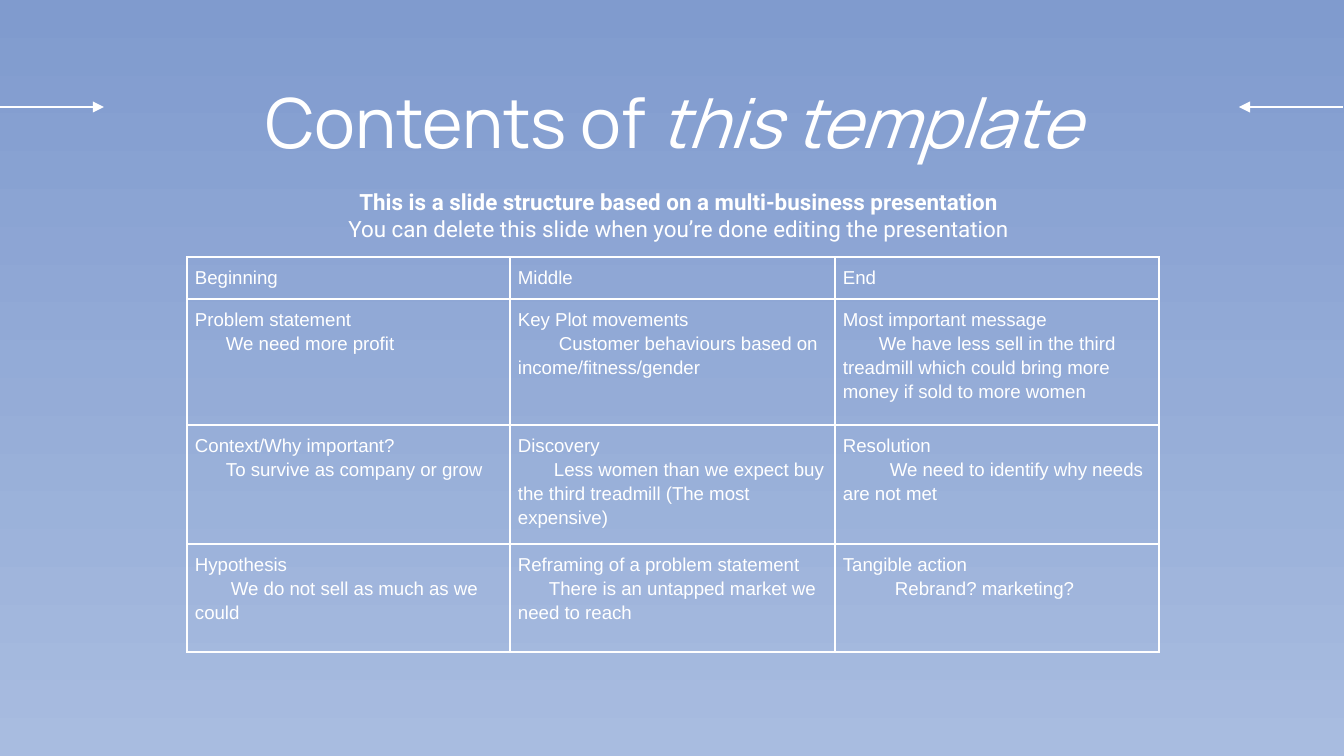
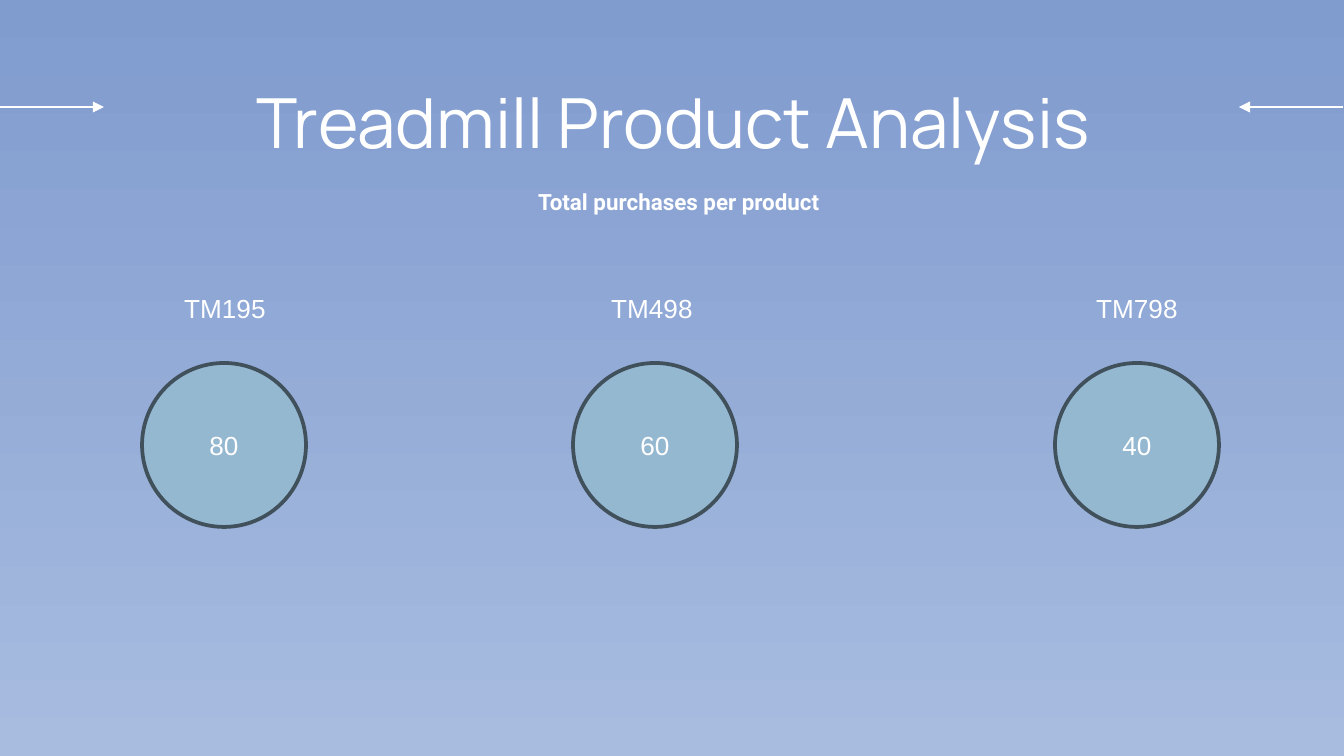
import lxml.etree
import pptx
import pptx.dml.color
import pptx.enum.shapes
import pptx.enum.text
import pptx.oxml.ns
import pptx.util

COLORS = {
    "sky": "809BCE",
    "mist": "A8BCE0",
    "white": "FFFFFF",
    "disc": "95B8D1",
    "outline": "41515C",
}
PX = 914400 / 134.4
WIDTH, HEIGHT = 1344, 756
CENTER = pptx.enum.text.PP_ALIGN.CENTER
LEFT = pptx.enum.text.PP_ALIGN.LEFT


def emu(*lengths):
    return [pptx.util.Emu(round(n * PX)) for n in lengths]


def rgb(name):
    return pptx.dml.color.RGBColor.from_string(COLORS[name])


def sub(parent, tag, **attributes):
    return lxml.etree.SubElement(parent, pptx.oxml.ns.qn(tag), attributes)


class Deck:
    """Holds the shared style and the current slide."""

    def __init__(self):
        self.prs = pptx.Presentation()
        self.prs.slide_width, self.prs.slide_height = emu(WIDTH, HEIGHT)
        self.s = None

    def slide(self, title, subtitle):
        self.s = self.prs.slides.add_slide(self.prs.slide_layouts[6])
        fill = self.s.background.fill
        fill.gradient()
        fill.gradient_angle = 270
        for stop, name in zip(fill.gradient_stops, ("sky", "mist")):
            stop.color.rgb = rgb(name)
        self.arrow(0, 104)
        self.arrow(WIDTH - 1, 1239)
        self.title(title)
        self.subtitle(subtitle)

    def arrow(self, start, end, y=107):
        kind = pptx.enum.shapes.MSO_CONNECTOR.STRAIGHT
        line = self.s.shapes.add_connector(kind, *emu(start, y, end, y))
        line.line.color.rgb = rgb("white")
        line.line.width = pptx.util.Pt(0.75)
        sub(line.line._get_or_add_ln(), "a:tailEnd", type="triangle")
        sub(line._element.spPr, "a:effectLst")

    def format(self, p, size, font="Arial", align=CENTER, bold=False):
        p.alignment = align
        for r in p.runs:
            r.font.size = pptx.util.Pt(size)
            r.font.name = font
            r.font.bold = bold
            r.font.color.rgb = rgb("white")

    def frame(self, x, y, w, h, right=13):
        tf = self.s.shapes.add_textbox(*emu(x, y, w, h)).text_frame
        tf.word_wrap = True
        tf.margin_left, tf.margin_top, tf.margin_right, tf.margin_bottom = emu(13, 13, right, 13)
        return tf

    def title(self, parts):
        p = self.frame(106, 66, 1134, 112).paragraphs[0]
        for i, part in enumerate(parts):
            r = p.add_run()
            r.text = part
            r.font.italic = i == 1
        self.format(p, 37, "Manrope")

    def subtitle(self, text):
        tf = self.frame(106, 175, 1133, 70, right=0)
        tf.text = text
        for i, p in enumerate(tf.paragraphs):
            self.format(p, 12, "Roboto", bold=i == 0)

    def label(self, x, y, text):
        tf = self.s.shapes.add_textbox(*emu(x, y, 109, 46)).text_frame
        tf.word_wrap = False
        tf.auto_size = pptx.enum.text.MSO_AUTO_SIZE.SHAPE_TO_FIT_TEXT
        tf.text = text
        self.format(tf.paragraphs[0], 14, align=LEFT)

    def circle(self, x, y, size, text):
        kind = pptx.enum.shapes.MSO_SHAPE.OVAL
        sp = self.s.shapes.add_shape(kind, *emu(x, y, size, size))
        sp.shadow.inherit = False
        sp.fill.solid()
        sp.fill.fore_color.rgb = rgb("disc")
        sp.line.color.rgb = rgb("outline")
        sp.line.width = pptx.util.Pt(2)
        tf = sp.text_frame
        tf.vertical_anchor = pptx.enum.text.MSO_ANCHOR.MIDDLE
        tf.text = text
        self.format(tf.paragraphs[0], 14)

    def table(self, x, y, widths, heights, rows):
        box = emu(x, y, sum(widths), sum(heights))
        table = self.s.shapes.add_table(len(rows), len(widths), *box).table
        table.first_row = table.horz_banding = False
        for column, width in zip(table.columns, emu(*widths)):
            column.width = width
        for row, height, entries in zip(table.rows, emu(*heights), rows):
            row.height = height
            for cell, (heading, detail, indent) in zip(row.cells, entries):
                self.cell(cell, heading, detail, indent)

    def cell(self, cell, heading, detail, indent):
        cell.margin_left, cell.margin_top, cell.margin_right, cell.margin_bottom = emu(8, 8, 8, 8)
        cell.fill.background()
        self.borders(cell)
        tf = cell.text_frame
        tf.text = f"{heading}\n{detail}" if detail else heading
        for p in tf.paragraphs:
            p.line_spacing = 1.15
            self.format(p, 10, align=LEFT)
        if detail:
            pPr = tf.paragraphs[1]._p.get_or_add_pPr()
            pPr.set("marL", "0")
            pPr.set("indent", str(emu(indent)[0]))

    def borders(self, cell):
        tcPr = cell._tc.get_or_add_tcPr()
        for i, side in enumerate("LRTB"):
            ln = sub(tcPr, f"a:ln{side}", w=str(pptx.util.Pt(1)))
            sub(sub(ln, "a:solidFill"), "a:srgbClr", val=COLORS["white"])
            tcPr.insert(i, ln)


STORY = [
    [("Beginning", "", 0), ("Middle", "", 0), ("End", "", 0)],
    [
        ("Problem statement", "We need more profit", 31),
        ("Key Plot movements", "Customer behaviours based on income/fitness/gender", 41),
        (
            "Most important message",
            "We have less sell in the third treadmill which could bring more money if sold to more women",
            36,
        ),
    ],
    [
        ("Context/Why important?", "To survive as company or grow", 31),
        ("Discovery", "Less women than we expect buy the third treadmill (The most expensive)", 36),
        ("Resolution", "We need to identify why needs are not met", 47),
    ],
    [
        ("Hypothesis", "We do not sell as much as we could", 36),
        ("Reframing of a problem statement", "There is an untapped market we need to reach", 31),
        ("Tangible action", "Rebrand? marketing?", 52),
    ],
]
PURCHASES = [
    ("TM195", "80", 171, 142),
    ("TM498", "60", 598, 573),
    ("TM798", "40", 1083, 1055),
]


def main():
    deck = Deck()
    deck.slide(
        ["Contents of ", "this template"],
        "This is a slide structure based on a multi-business presentation\n"
        "You can delete this slide when you’re done editing the presentation",
    )
    deck.table(187, 257, [323, 325, 324], [31, 126, 108, 108], STORY)

    deck.slide(["Treadmill Product Analysis"], "Total purchases per product")
    for product, total, label_x, circle_x in PURCHASES:
        deck.label(label_x, 286, product)
        deck.circle(circle_x, 363, 164, total)
    deck.prs.save("out.pptx")


if __name__ == "__main__":
    main()
